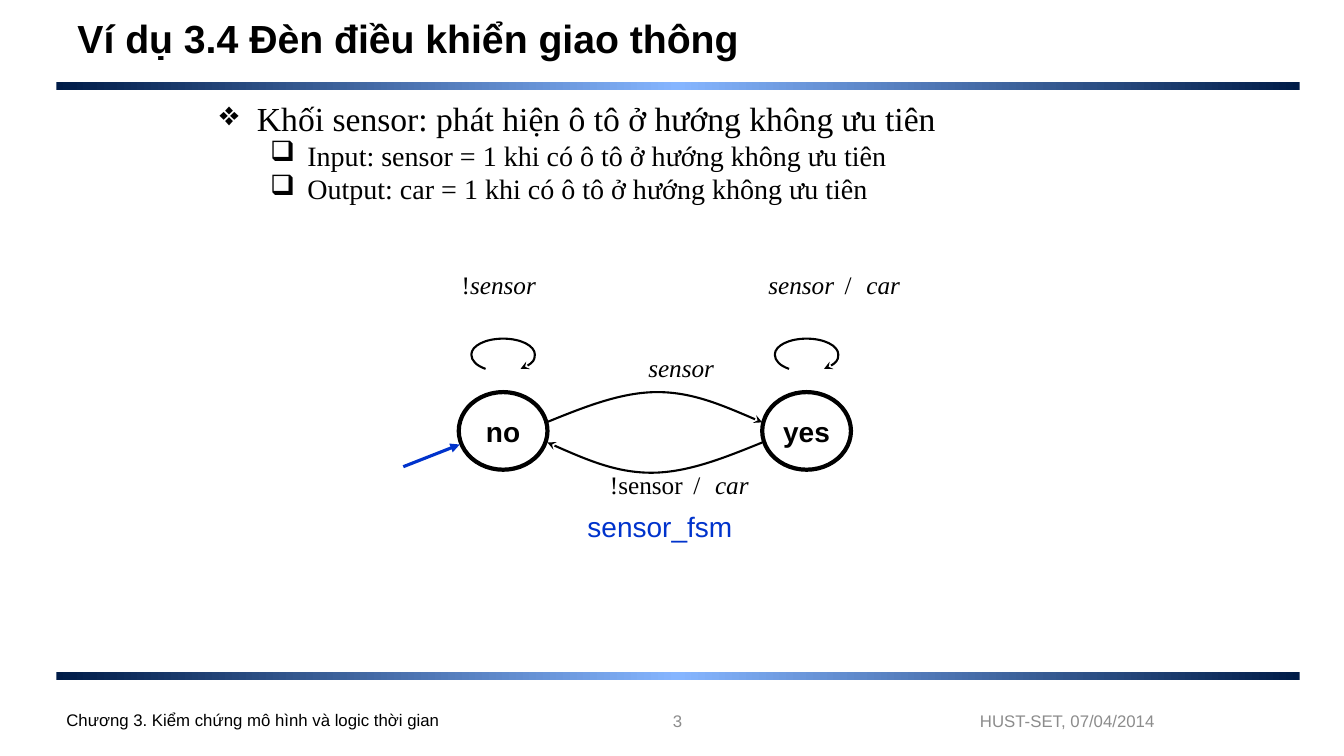
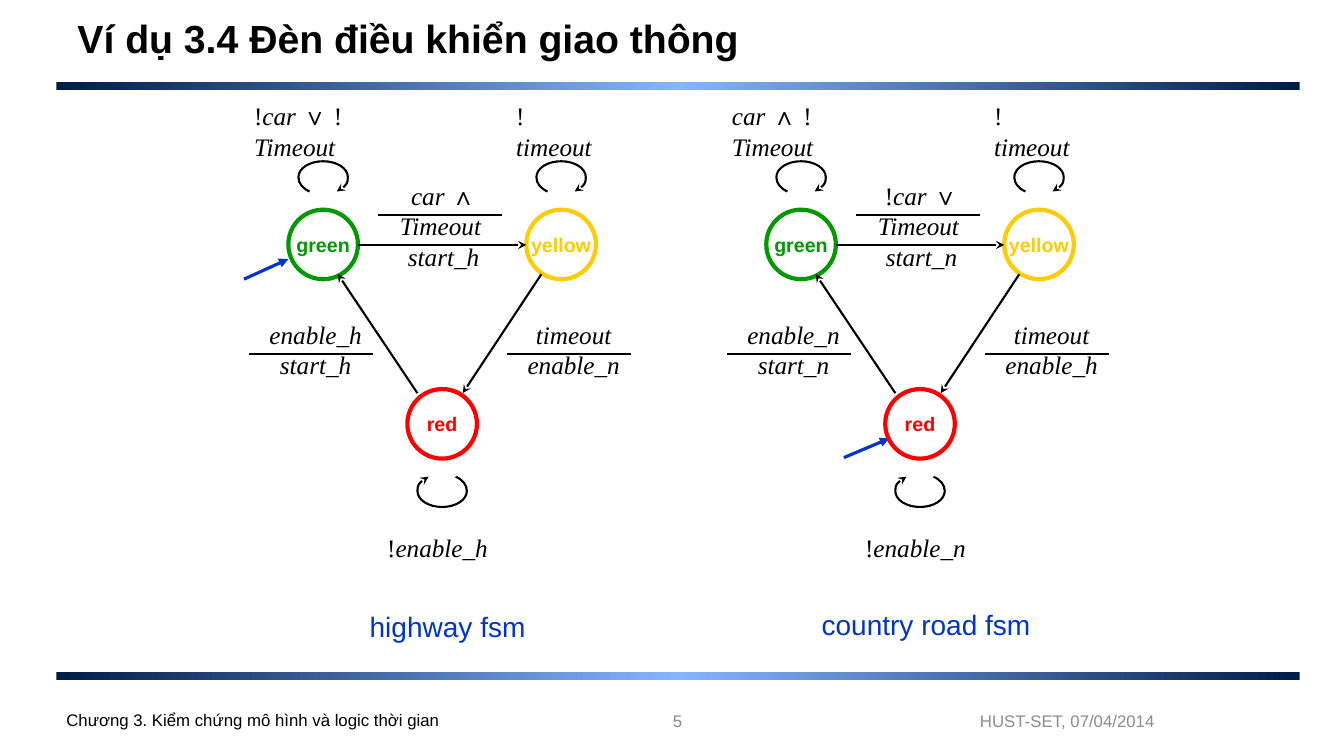
"""Builds two slides on the finite state machines of a traffic light controller."""
from copy import deepcopy
from dataclasses import dataclass
from typing import NamedTuple

from lxml.etree import SubElement
from pptx import Presentation
from pptx.dml.color import RGBColor
from pptx.enum.shapes import MSO_CONNECTOR, MSO_SHAPE
from pptx.enum.text import MSO_ANCHOR, PP_ALIGN
from pptx.oxml.ns import qn
from pptx.util import Emu, Pt

EMU_PER_PX = 9144
SANS = "Arial"
SERIF = "Times New Roman"
BLACK = RGBColor(0x00, 0x00, 0x00)
WHITE = RGBColor(0xFF, 0xFF, 0xFF)
GRAY = RGBColor(0x8C, 0x8C, 0x8C)
BLUE = RGBColor(0x00, 0x33, 0xCC)
GREEN = RGBColor(0x00, 0x99, 0x00)
RED = RGBColor(0xFF, 0x00, 0x00)
YELLOW = RGBColor(0xFF, 0xCC, 0x00)
BAND_DARK = RGBColor(0x00, 0x1C, 0x48)
BAND_LIGHT = RGBColor(0x85, 0xB5, 0xFF)
LOOP_OUTLINE = (
    (-0.55, 1), (-0.83, 0.9), (-1, 0.73), (-1, 0.53), (-1, 0.23), (-0.55, 0), (0, 0),
    (0.55, 0), (1, 0.23), (1, 0.53), (1, 0.73), (0.83, 0.9), (0.55, 1),
)
LOOP_HEIGHT = 30
MACHINE_SHIFT = 474

Point = tuple[float, float]


class Box(NamedTuple):
    left: int
    top: int
    width: int
    height: int


class Run(NamedTuple):
    text: str
    italic: bool = False
    spacing: int = 0


@dataclass(frozen=True)
class Style:
    size: int
    font: str = SANS
    color: RGBColor = BLACK
    bold: bool = False


@dataclass(frozen=True)
class State:
    name: str
    box: Box
    style: Style


@dataclass(frozen=True)
class Bullet:
    symbol: str
    level: int
    size: int
    text: str


@dataclass(frozen=True)
class Machine:
    shift: int
    own: str
    other: str
    stay_green: tuple[Run, ...]
    leave_green: tuple[Run, ...]
    start: tuple[Point, Point]
    caption: str
    caption_box: Box


Lines = tuple[tuple[Run, ...], ...]

TITLE = Style(28, bold=True)
FOOTER = Style(12)
FOOTER_GRAY = Style(12, color=GRAY)
LABEL = Style(18, SERIF)
CAPTION = Style(20, color=BLUE)
SLASH = Run(" / ", spacing=300)

BULLETS = (
    Bullet("❖", 0, 24, "Khối sensor: phát hiện ô tô ở hướng không ưu tiên"),
    Bullet("❑", 1, 20, "Input: sensor = 1 khi có ô tô ở hướng không ưu tiên"),
    Bullet("❑", 1, 20, "Output: car = 1 khi có ô tô ở hướng không ưu tiên"),
)
SENSOR_STATES = (
    State("no", Box(455, 389, 88, 77), Style(20, bold=True)),
    State("yes", Box(756, 389, 88, 77), Style(20, bold=True)),
)
SENSOR_LABELS = (
    (Box(458, 267, 74, 30), (Run("!"), Run("sensor", True))),
    (Box(762, 267, 132, 30), (Run("sensor", True), SLASH, Run("car", True))),
    (Box(605, 466, 139, 30), (Run("!sensor"), SLASH, Run("car", True))),
    (Box(643, 350, 66, 30), (Run("sensor", True),)),
)
LIGHT_STATES = (
    State("green", Box(286, 208, 69, 69), Style(14, color=GREEN, bold=True)),
    State("red", Box(404, 386, 69, 69), Style(14, color=RED, bold=True)),
    State("yellow", Box(522, 208, 69, 69), Style(14, color=YELLOW, bold=True)),
)
MACHINES = (
    Machine(
        0, "h", "n",
        (Run("!"), Run("car ", True), Run("∨ !"), Run("Timeout", True)),
        (Run("car ", True), Run("∧ "), Run("Timeout ", True)),
        ((242, 277), (286, 257)), "highway fsm", Box(356, 600, 176, 44),
    ),
    Machine(
        MACHINE_SHIFT, "n", "h",
        (Run("car ", True), Run("∧ !"), Run("Timeout", True)),
        (Run("!"), Run("car ", True), Run("∨ "), Run("Timeout ", True)),
        ((363, 454), (408, 435)), "country road fsm", Box(804, 598, 229, 44),
    ),
)


def px(length: float) -> Emu:
    """Turns pixels into EMU."""
    return Emu(round(length * EMU_PER_PX))


def add_run(paragraph, run: Run, style: Style) -> None:
    """Adds one styled run to a paragraph."""
    text_run = paragraph.add_run()
    text_run.text = run.text
    font = text_run.font
    font.name, font.size, font.bold, font.italic = style.font, Pt(style.size), style.bold, run.italic
    font.color.rgb = style.color
    if run.spacing:
        text_run._r.get_or_add_rPr().set("spc", str(run.spacing))


def fill_frame(frame, lines: Lines, style: Style, align, anchor, wrap: bool, inset: bool) -> None:
    """Writes lines of runs into a text frame."""
    frame.word_wrap = wrap
    frame.vertical_anchor = anchor
    if not inset:
        frame.margin_left = frame.margin_right = frame.margin_top = frame.margin_bottom = 0
    for index, line in enumerate(lines):
        paragraph = frame.add_paragraph() if index else frame.paragraphs[0]
        paragraph.alignment = align
        for run in line:
            add_run(paragraph, run, style)


def add_text(slide, box: Box, lines: Lines, style: Style, align=PP_ALIGN.LEFT,
             anchor=MSO_ANCHOR.TOP, wrap: bool = False, inset: bool = False) -> None:
    """Adds a text box."""
    shape = slide.shapes.add_textbox(*map(px, box))
    fill_frame(shape.text_frame, lines, style, align, anchor, wrap, inset)


def add_band(slide, top: int) -> None:
    """Adds a horizontal gradient band."""
    band = slide.shapes.add_shape(MSO_SHAPE.RECTANGLE, px(56), px(top), px(1233), px(8))
    band.shadow.inherit = False
    band.line.fill.background()
    band.fill.gradient()
    band.fill.gradient_angle = 0
    stop_list = band._element.spPr.find(qn("a:gradFill")).find(qn("a:gsLst"))
    stop_list.append(deepcopy(stop_list[0]))
    stops = zip(band.fill.gradient_stops, (0, 0.5, 1), (BAND_DARK, BAND_LIGHT, BAND_DARK))
    for stop, position, color in stops:
        stop.position = position
        stop.color.rgb = color


def add_frame(slide, number: int) -> None:
    """Adds the bands, title and footers that every slide has."""
    for top in (667, 81):
        add_band(slide, top)
    texts = (
        (Box(67, 0, 1200, 75), "Ví dụ 3.4 Đèn điều khiển giao thông", TITLE, PP_ALIGN.LEFT),
        (Box(844, 695, 311, 40), "HUST-SET, 07/04/2014", FOOTER_GRAY, PP_ALIGN.RIGHT),
        (Box(500, 695, 344, 40), str(number), FOOTER_GRAY, PP_ALIGN.CENTER),
        (Box(56, 695, 778, 39), "Chương 3. Kiểm chứng mô hình và logic thời gian", FOOTER, PP_ALIGN.LEFT),
    )
    for box, text, style, align in texts:
        add_text(slide, box, ((Run(text),),), style, align, MSO_ANCHOR.MIDDLE, wrap=True, inset=True)


def set_stroke(shape, color: RGBColor, width: float, head: str) -> None:
    """Sets line colour, width and an optional arrowhead."""
    shape.line.color.rgb = color
    shape.line.width = Pt(width)
    if head:
        SubElement(shape.line._get_or_add_ln(), qn("a:tailEnd"), type=head)


def add_line(slide, start: Point, end: Point, color: RGBColor = BLACK, width: float = 1.5, head: str = "") -> None:
    """Adds a straight line."""
    line = slide.shapes.add_connector(MSO_CONNECTOR.STRAIGHT, *map(px, (*start, *end)))
    set_stroke(line, color, width, head)
    SubElement(line._element.spPr, qn("a:effectLst"))


def add_curve(slide, points: list[Point]) -> None:
    """Adds a cubic curve with an arrowhead at its end."""
    start, *others = [(px(x), px(y)) for x, y in points]
    builder = slide.shapes.build_freeform(*start, scale=1.0)
    builder.add_line_segments(others, close=False)
    curve = builder.convert_to_shape()
    curve.shadow.inherit = False
    curve.fill.background()
    set_stroke(curve, BLACK, 1.5, "stealth")
    outline = next(curve._element.iter(qn("a:path")))
    segments = outline.findall(qn("a:lnTo"))
    for index in range(0, len(segments), 3):
        bezier = SubElement(outline, qn("a:cubicBezTo"))
        for segment in segments[index:index + 3]:
            bezier.append(segment[0])
            outline.remove(segment)


def add_loop(slide, center: float, top: int, half_width: float, below: bool = False) -> None:
    """Adds a self-transition above or below a state."""
    sign = -1 if below else 1
    base = top + LOOP_HEIGHT if below else top
    add_curve(slide, [(center + sign * half_width * x, base + sign * LOOP_HEIGHT * y) for x, y in LOOP_OUTLINE])


def add_state(slide, state: State, shift: int = 0) -> None:
    """Adds a named state circle."""
    box = state.box._replace(left=state.box.left + shift)
    circle = slide.shapes.add_shape(MSO_SHAPE.OVAL, *map(px, box))
    circle.shadow.inherit = False
    circle.fill.solid()
    circle.fill.fore_color.rgb = WHITE
    set_stroke(circle, state.style.color, 3, "")
    fill_frame(circle.text_frame, ((Run(state.name),),), state.style, PP_ALIGN.CENTER, MSO_ANCHOR.MIDDLE, False, False)


def add_caption(slide, box: Box, text: str) -> None:
    """Adds the name of a state machine."""
    add_text(slide, box, ((Run(text),),), CAPTION, PP_ALIGN.CENTER, inset=True)


def add_bullets(slide, box: Box) -> None:
    """Adds the bulleted description of the sensor block."""
    frame = slide.shapes.add_textbox(*map(px, box)).text_frame
    frame.word_wrap = True
    for index, bullet in enumerate(BULLETS):
        paragraph = frame.add_paragraph() if index else frame.paragraphs[0]
        paragraph.level = bullet.level
        properties = paragraph._p.get_or_add_pPr()
        properties.set("marL", str(px(37 + 50 * bullet.level)))
        properties.set("indent", str(px(-37)))
        SubElement(properties, qn("a:buChar"), char=bullet.symbol)
        add_run(paragraph, Run(bullet.text), Style(bullet.size, SERIF))


def draw_sensor(slide) -> None:
    """Draws the sensor block and its state machine."""
    add_bullets(slide, Box(208, 92, 925, 133))
    for state in SENSOR_STATES:
        add_state(slide, state)
        add_loop(slide, state.box.left + state.box.width / 2, 336, 31.5)
    add_curve(slide, [(756, 439), (719, 454), (682, 469), (646, 469), (611, 469), (577, 454), (543, 439)])
    add_curve(slide, [(542, 419), (579, 404), (616, 389), (652, 389), (687, 389), (721, 404), (756, 419)])
    for box, runs in SENSOR_LABELS:
        add_text(slide, box, (runs,), LABEL)
    add_caption(slide, Box(572, 501, 165, 44), "sensor_fsm")
    add_line(slide, (400, 463), (456, 441), BLUE, 2.25, "triangle")


def draw_machine(slide, machine: Machine) -> None:
    """Draws the light state machine of one road."""
    shift, own, other = machine.shift, machine.own, machine.other
    (start_x, start_y), (end_x, end_y) = machine.start
    add_line(slide, (start_x + shift, start_y), (end_x + shift, end_y), BLUE, 2.25, "triangle")
    for state in LIGHT_STATES:
        add_state(slide, state, shift)
        below = state.name == "red"
        add_loop(slide, state.box.left + 34.5 + shift, 473 if below else 160, 24.5, below)
    for start, end in (((537, 272), (459, 390)), ((414, 390), (335, 272)), ((355, 243), (522, 243))):
        add_line(slide, (start[0] + shift, start[1]), (end[0] + shift, end[1]), head="stealth")
    add_text(slide, Box(252 + shift, 100, 115, 60), (machine.stay_green,), LABEL, wrap=True)
    add_text(slide, Box(512 + shift, 100, 83, 30), ((Run("!"), Run("timeout", True)),), LABEL)
    add_text(slide, Box(384 + shift, 528, 100, 30), ((Run("!"), Run(f"enable_{own}", True)),), LABEL)
    fractions = (
        (Box(385 + shift, 179, 110, 90), machine.leave_green, f"start_{own}", 375, 213),
        (Box(523 + shift, 317, 92, 60), (Run("timeout", True),), f"enable_{other}", 503, 351),
        (Box(267 + shift, 317, 92, 60), (Run(f"enable_{own}", True),), f"start_{own}", 247, 351),
    )
    for box, condition, action, left, level in fractions:
        add_text(slide, box, (condition, (Run(action, True),)), LABEL, PP_ALIGN.CENTER, wrap=box.width > 100)
        add_line(slide, (left + shift, level), (left + 123 + shift, level))
    add_caption(slide, machine.caption_box, machine.caption)


def main() -> None:
    """Builds and saves the presentation."""
    presentation = Presentation()
    presentation.slide_width, presentation.slide_height = px(1333), px(750)
    blank = presentation.slide_layouts[6]
    sensor_slide, road_slide = (presentation.slides.add_slide(blank) for _ in range(2))
    add_frame(sensor_slide, 3)
    draw_sensor(sensor_slide)
    add_frame(road_slide, 5)
    for machine in MACHINES:
        draw_machine(road_slide, machine)
    presentation.save("out.pptx")


if __name__ == "__main__":
    main()
